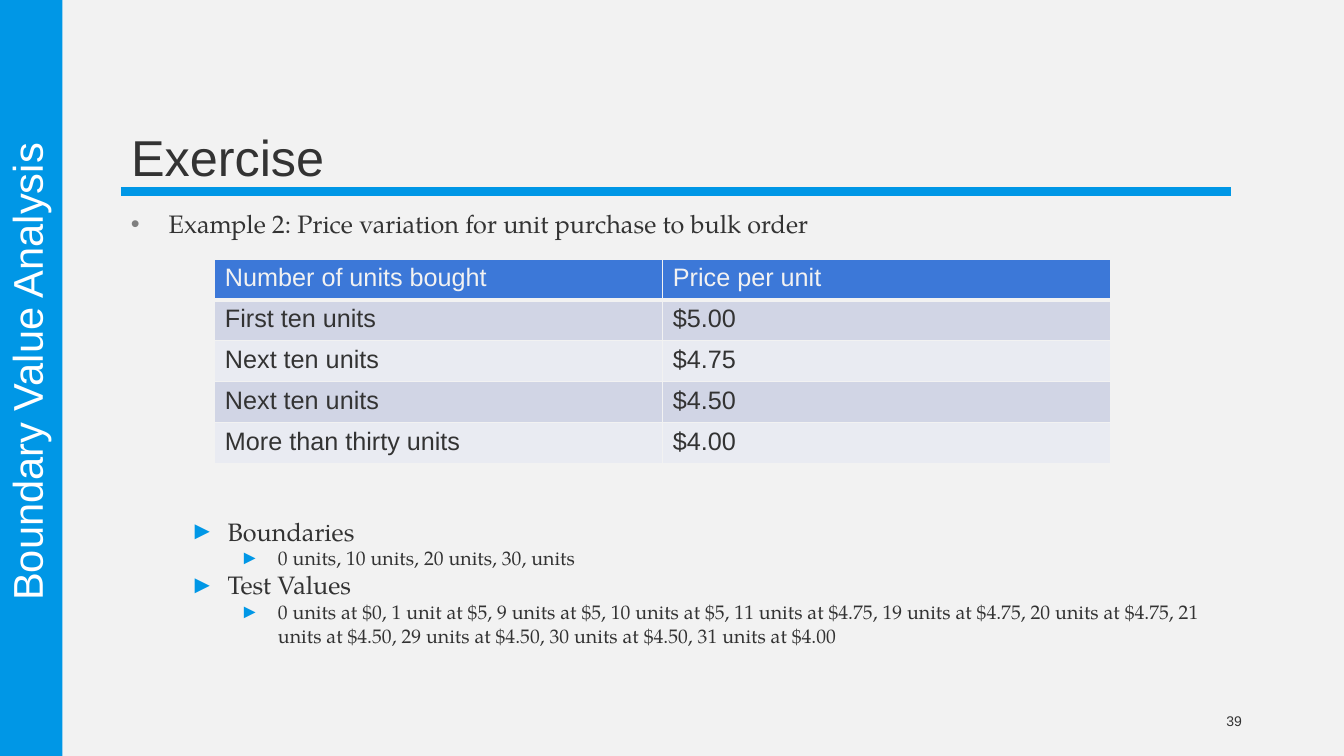
"""Build the boundary value analysis exercise slide."""
from lxml import etree
from pptx import Presentation
from pptx.dml.color import RGBColor
from pptx.enum.shapes import MSO_CONNECTOR, MSO_SHAPE
from pptx.enum.text import MSO_ANCHOR, MSO_AUTO_SIZE, PP_ALIGN
from pptx.oxml.ns import qn
from pptx.util import Pt

LEFT, CENTER, RIGHT = PP_ALIGN.LEFT, PP_ALIGN.CENTER, PP_ALIGN.RIGHT
TOP, MIDDLE, BOTTOM = MSO_ANCHOR.TOP, MSO_ANCHOR.MIDDLE, MSO_ANCHOR.BOTTOM

BLUE, HEADER, INK, PALE, WHITE, GREY = "0097E6", "3C78D8", "333333", "F2F2F2", "FFFFFF", "7F7F7F"
BANDS = ["D1D5E5", "E9EBF2"]
SANS, SERIF = "Arial", "TeX Gyre Pagella"

TITLE = "Exercise"
SECTION = "Boundary Value Analysis"
PAGE_NUMBER = "39"
EXAMPLE = "Example 2: Price variation for unit purchase to bulk order"
PRICES = [
    ("Number of units bought", "Price per unit"),
    ("First ten units", "$5.00"),
    ("Next ten units", "$4.75"),
    ("Next ten units", "$4.50"),
    ("More than thirty units", "$4.00"),
]
ANSWERS = [
    (1, "Boundaries"),
    (2, "0 units, 10 units, 20 units, 30, units"),
    (1, "Test Values"),
    (2, "0 units at $0, 1 unit at $5, 9 units at $5, 10 units at $5, "
        "11 units at $4.75, 19 units at $4.75, 20 units at $4.75, "
        "21 units at $4.50, 29 units at $4.50, 30 units at $4.50, "
        "31 units at $4.00"),
]
ANSWER_STYLES = {1: (72, 18), 2: (108, 14)}
HANGING = 27
ROW_HEIGHT, COLUMN_WIDTH = 29.27, 320


def color(value):
    return RGBColor.from_string(value)


def place(shape, left, top, width, height):
    shape.left, shape.top, shape.width, shape.height = map(Pt, (left, top, width, height))


def style(para, text, size, ink=INK, face=SANS, align=LEFT):
    para.text = text
    para.alignment = align
    para.space_before = para.space_after = Pt(0)
    para.font.size, para.font.name, para.font.bold = Pt(size), face, False
    para.font.color.rgb = color(ink)


def set_frame(shape, anchor):
    frame = shape.text_frame
    frame.word_wrap = True
    frame.auto_size = MSO_AUTO_SIZE.NONE
    frame.vertical_anchor = anchor
    return frame


def add_text_box(page, bounds, anchor=TOP):
    box = page.shapes.add_textbox(*map(Pt, bounds))
    return box, set_frame(box, anchor)


def add_bullet(para, symbol, ink, indent):
    props = para._p.get_or_add_pPr()
    props.set("marL", str(Pt(indent)))
    props.set("indent", str(-Pt(HANGING)))
    tint = etree.SubElement(props, qn("a:buClr"))
    etree.SubElement(tint, qn("a:srgbClr"), val=ink)
    etree.SubElement(props, qn("a:buFont"), typeface=SANS)
    etree.SubElement(props, qn("a:buChar"), char=symbol)


def add_borders(cell, widths):
    props = cell._tc.get_or_add_tcPr()
    for side, width in zip("LRTB", widths):
        line = etree.SubElement(props, qn("a:ln" + side), w=str(Pt(width)))
        fill = etree.SubElement(line, qn("a:solidFill"))
        etree.SubElement(fill, qn("a:srgbClr"), val=PALE)


def add_frame_shapes(page):
    rule = page.shapes.add_connector(MSO_CONNECTOR.STRAIGHT, Pt(86.4), Pt(136.8), Pt(879.1), Pt(136.8))
    rule.line.color.rgb = color(BLUE)
    rule.line.width = Pt(6)
    etree.SubElement(rule._element.spPr, qn("a:effectLst"))
    band = page.shapes.add_shape(MSO_SHAPE.RECTANGLE, 0, 0, Pt(44.64), Pt(540))
    band.shadow.inherit = False
    band.fill.solid()
    band.fill.fore_color.rgb = color(BLUE)
    band.line.fill.background()


def add_price_table(page):
    rows, columns = len(PRICES), len(PRICES[0])
    table = page.shapes.add_table(rows, columns, Pt(153.5), Pt(185), Pt(COLUMN_WIDTH * columns),
                                  Pt(ROW_HEIGHT * rows)).table
    for column in table.columns:
        column.width = Pt(COLUMN_WIDTH)
    for number, values in enumerate(PRICES):
        table.rows[number].height = Pt(ROW_HEIGHT)
        is_header = number == 0
        for cell, value in zip(table.rows[number].cells, values):
            add_borders(cell, (1, 1, 3 if number == 1 else 1, 3 if is_header else 1))
            cell.fill.solid()
            cell.fill.fore_color.rgb = color(HEADER if is_header else BANDS[(number - 1) % 2])
            style(cell.text_frame.paragraphs[0], value, 18, PALE if is_header else INK)


def main():
    deck = Presentation()
    deck.slide_width, deck.slide_height = Pt(960), Pt(540)
    page = deck.slides.add_slide(deck.slide_layouts[5])
    page.background.fill.solid()
    page.background.fill.fore_color.rgb = color(PALE)
    add_frame_shapes(page)

    title = page.shapes.title
    place(title, 86.4, 22.3, 792, 114.5)
    heading = set_frame(title, BOTTOM).paragraphs[0]
    style(heading, TITLE, 36)
    heading.line_spacing = 1.61

    _, frame = add_text_box(page, (86.4, 145.4, 792, 28.8))
    add_bullet(frame.paragraphs[0], "•", GREY, HANGING)
    style(frame.paragraphs[0], EXAMPLE, 18, face=SERIF)

    add_price_table(page)

    _, frame = add_text_box(page, (678.2, 500.4, 216, 28.8), MIDDLE)
    style(frame.paragraphs[0], PAGE_NUMBER, 10, align=RIGHT)

    box, frame = add_text_box(page, (-220.3, 247.7, 485.3, 36), BOTTOM)
    box.rotation = 270
    style(frame.paragraphs[0], SECTION, 29.7, WHITE, align=CENTER)
    frame.paragraphs[0].line_spacing = 0.85

    _, frame = add_text_box(page, (83.5, 365, 792, 114.5))
    for number, (level, text) in enumerate(ANSWERS):
        para = frame.add_paragraph() if number else frame.paragraphs[0]
        indent, size = ANSWER_STYLES[level]
        para.level = level
        add_bullet(para, "►", BLUE, indent)
        style(para, text, size, face=SERIF)

    deck.save("out.pptx")


if __name__ == "__main__":
    main()
